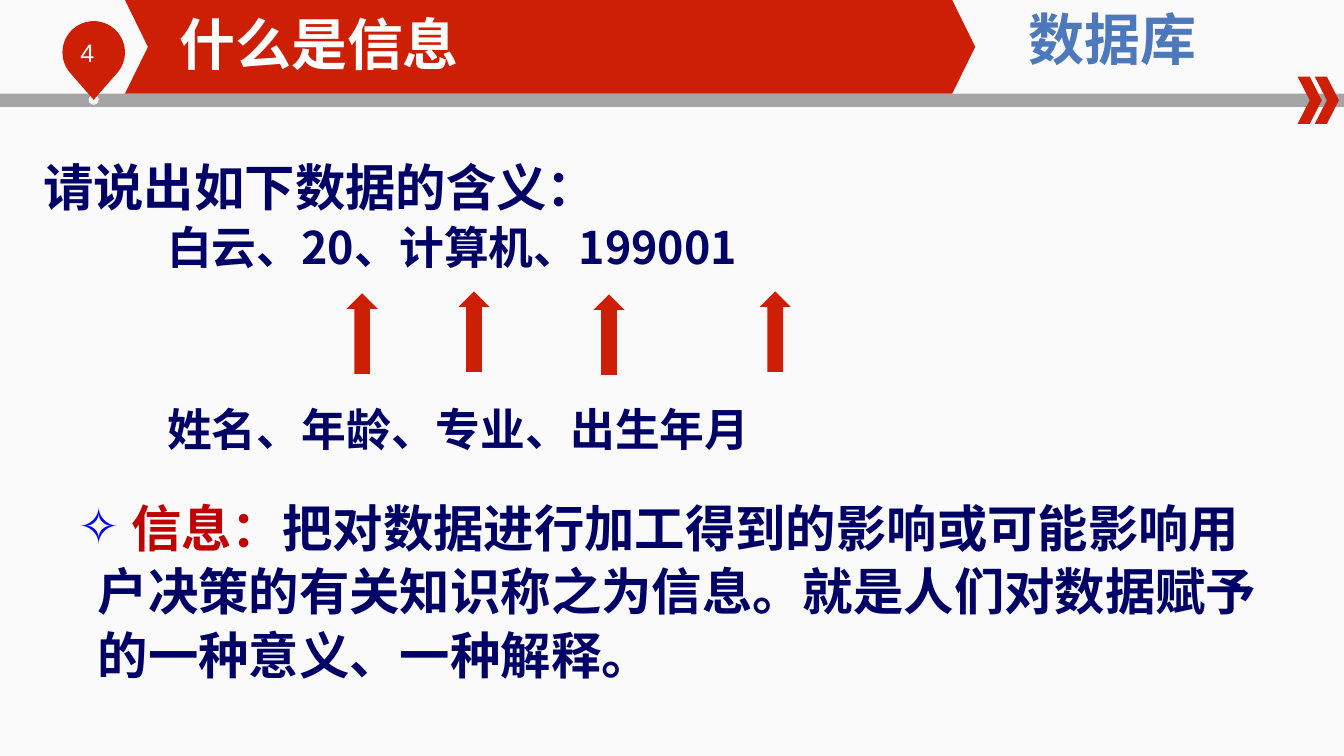
from dataclasses import dataclass
from math import cos, radians, sin

from pptx import Presentation
from pptx.dml.color import RGBColor
from pptx.enum.shapes import MSO_SHAPE
from pptx.enum.text import MSO_ANCHOR, MSO_AUTO_SIZE, PP_ALIGN
from pptx.oxml.ns import qn
from pptx.util import Inches, Pt
from lxml.etree import SubElement


@dataclass(frozen=True)
class Theme:
    red: str = "CD1F06"
    term: str = "C00000"
    navy: str = "000066"
    bullet: str = "0000FF"
    course: str = "4D79BC"
    rule: str = "A5A5A5"
    dot: str = "F6F6F6"
    white: str = "FFFFFF"
    background: tuple = ("FAFAFA", "FCFCFC")
    latin: str = "Arial"
    cjk: str = "Noto Sans CJK SC"
    heading: int = 40
    body: int = 36
    example: int = 32
    number: int = 18
    spacing: float = 1.05


THEME = Theme()


def style(run, size, color, bold=True, latin=THEME.cjk):
    run.font.size = Pt(size)
    run.font.bold = bold
    run.font.name = latin
    run.font.color.rgb = RGBColor.from_string(color)
    SubElement(run.font._element, qn("a:ea"), typeface=THEME.cjk)


def place(holder, box):
    holder.left, holder.top, holder.width, holder.height = map(Inches, box)


def add_solid(slide, kind, box, color, adjustments=()):
    solid = slide.shapes.add_shape(kind, *map(Inches, box))
    paint(solid, color)
    for index, value in enumerate(adjustments):
        solid.adjustments[index] = value


def paint(solid, color):
    solid.shadow.inherit = False
    solid.fill.solid()
    solid.fill.fore_color.rgb = RGBColor.from_string(color)
    solid.line.fill.background()


def add_lines(slide, box, lines, color, align=PP_ALIGN.LEFT, latin=THEME.cjk,
              bold=True, spacing=1.0):
    frame = slide.shapes.add_textbox(*map(Inches, box)).text_frame
    frame.word_wrap = True
    frame.text = "\n".join(text for text, _, _ in lines)
    for paragraph, (_, size, indent) in zip(frame.paragraphs, lines):
        paragraph.alignment = align
        paragraph.line_spacing = spacing
        paragraph._p.get_or_add_pPr().set("marL", str(Inches(indent)))
        style(paragraph.runs[0], size, color, bold, latin)


def add_background(slide):
    fill = slide.background.fill
    fill.gradient()
    fill.gradient_angle = 270
    for stop, color in zip(fill.gradient_stops, THEME.background):
        stop.color.rgb = RGBColor.from_string(color)


def add_page_pin(slide, box, number):
    left, top, width, height = box
    radius = width / 2
    center_x, center_y = left + radius, top + radius
    outline = [(center_x + radius * cos(radians(angle)),
                center_y + radius * sin(radians(angle)))
               for angle in range(45, -226, -5)]
    outline.append((center_x, top + height))
    points = [(Inches(x), Inches(y)) for x, y in outline]
    builder = slide.shapes.build_freeform(*points[0])
    builder.add_line_segments(points[1:], close=True)
    add_solid(slide, MSO_SHAPE.OVAL,
              (center_x - 0.05, top + height - 0.05, 0.1, 0.1), THEME.dot)
    paint(builder.convert_to_shape(), THEME.red)
    add_lines(slide, (left + 0.08, top + 0.11, 0.76, 0.4),
              [(number, THEME.number, 0)], THEME.white,
              latin=THEME.latin, bold=False)


def add_header(slide, box, heading, course, number):
    left, top, width, height = box
    add_solid(slide, MSO_SHAPE.RECTANGLE,
              (left, top + height - 0.13, width, 0.13), THEME.rule)
    add_page_pin(slide, (left + 0.62, top + 0.21, 0.62, 0.78), number)
    for step in range(2):
        add_solid(slide, MSO_SHAPE.CHEVRON,
                  (left + 12.88 + 0.17 * step, top + 0.76, 0.24, 0.47),
                  THEME.red, [0.5])
    add_solid(slide, MSO_SHAPE.CHEVRON, (left + 1.24, top, 8.44, 0.93),
              THEME.red, [0.246])
    add_lines(slide, (left + 9.68, top, 2.72, 0.77),
              [(course, THEME.heading, 0)], THEME.course, PP_ALIGN.CENTER)

    title = slide.shapes.title
    place(title, (left + 1.63, top + 0.09, 6.61, 0.67))
    frame = title.text_frame
    frame.text = heading
    frame.auto_size = MSO_AUTO_SIZE.NONE
    frame.vertical_anchor = MSO_ANCHOR.MIDDLE
    frame.margin_left = Inches(0.15)
    frame.margin_top = frame.margin_right = frame.margin_bottom = 0
    frame.paragraphs[0].alignment = PP_ALIGN.LEFT
    style(frame.paragraphs[0].runs[0], THEME.heading, THEME.white,
          latin=THEME.latin)
    slide.shapes._spTree.append(title._element)


def add_question(slide, box, question, values, meanings):
    left, top, width, height = box
    add_lines(slide, (left, top, width, 1.57),
              [(question, THEME.body, 0), (values, THEME.example, 1.23)],
              THEME.navy, spacing=THEME.spacing)
    add_lines(slide, (left, top + 2.44, width, height - 2.44),
              [(meanings, THEME.example, 1.23)],
              THEME.navy, spacing=THEME.spacing)
    for x, y in ((3.11, 1.44), (4.22, 1.42), (5.56, 1.45), (7.21, 1.42)):
        add_solid(slide, MSO_SHAPE.UP_ARROW, (left + x, top + y, 0.31, 0.8),
                  THEME.red, [0.5, 0.5])


def add_definition(slide, box, term, meaning):
    body = slide.placeholders[1]
    place(body, box)
    frame = body.text_frame
    frame.auto_size = MSO_AUTO_SIZE.NONE
    paragraph = frame.paragraphs[0]
    properties = paragraph._p.get_or_add_pPr()
    properties.set("marL", str(Inches(0.5)))
    properties.set("indent", str(Inches(-0.2)))
    paragraph.line_spacing = THEME.spacing
    paragraph.space_before = Pt(0)
    color = SubElement(properties, qn("a:buClr"))
    SubElement(color, qn("a:srgbClr"), val=THEME.bullet)
    SubElement(properties, qn("a:buChar"), char="✧")
    for text, shade in ((" " + term, THEME.term), (meaning, THEME.navy)):
        run = paragraph.add_run()
        run.text = text
        style(run, THEME.body, shade)
    slide.shapes._spTree.append(body._element)


def main():
    deck = Presentation()
    deck.slide_width, deck.slide_height = Inches(13.34), Inches(7.5)
    slide = deck.slides.add_slide(deck.slide_layouts[1])
    add_background(slide)
    add_header(slide, (0, 0, 13.34, 1.06), "什么是信息", "数据库", "4")
    add_question(slide, (0.33, 1.47, 12.32, 3.96), "请说出如下数据的含义：",
                 "白云、20、计算机、199001", "姓名、年龄、专业、出生年月")
    add_definition(slide, (0.37, 4.85, 12.39, 2.01), "信息：",
                   "把对数据进行加工得到的影响或可能影响用户决策的有关知识称之为信息。"
                   "就是人们对数据赋予的一种意义、一种解释。")
    deck.save("out.pptx")


if __name__ == "__main__":
    main()
